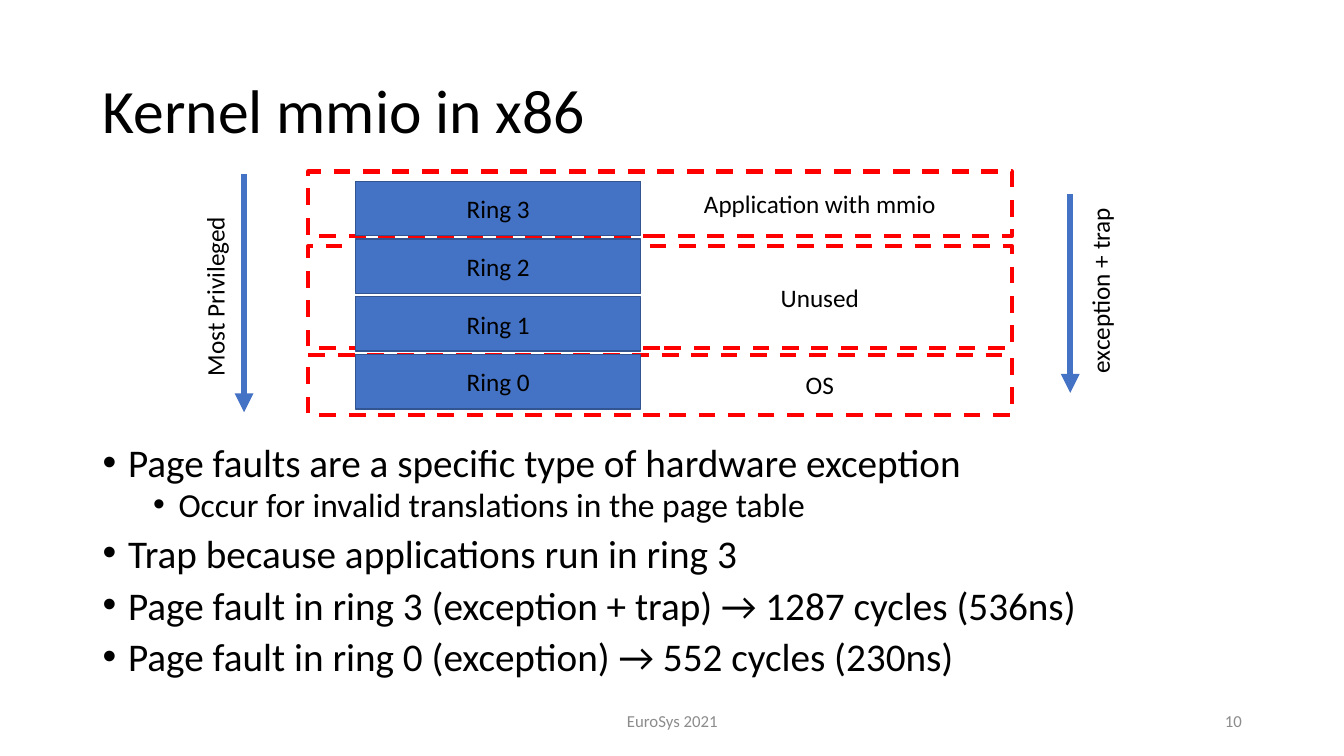
from lxml import etree
from pptx import Presentation
from pptx.dml.color import RGBColor
from pptx.enum.dml import MSO_LINE
from pptx.enum.shapes import MSO_CONNECTOR, MSO_SHAPE
from pptx.enum.text import MSO_ANCHOR, PP_ALIGN
from pptx.oxml.ns import qn
from pptx.util import Cm, Pt

BLACK = RGBColor(0, 0, 0)
GREY = RGBColor(0x8C, 0x8C, 0x8C)
BLUE = RGBColor(0x44, 0x72, 0xC4)
DARK_BLUE = RGBColor(0x32, 0x54, 0x91)
RED = RGBColor(0xFF, 0, 0)
LEFT, CENTER, RIGHT = PP_ALIGN.LEFT, PP_ALIGN.CENTER, PP_ALIGN.RIGHT
TOP, MIDDLE = MSO_ANCHOR.TOP, MSO_ANCHOR.MIDDLE
RECTANGLE, STRAIGHT = MSO_SHAPE.RECTANGLE, MSO_CONNECTOR.STRAIGHT
DASH = MSO_LINE.DASH
FONT = "Calibri"

RINGS = ["Ring 3", "Ring 2", "Ring 1", "Ring 0"]
# Label, top and height within the diagram
ZONES = [
    ("Application with mmio", 0, 1.63),
    ("Unused", 1.88, 2.57),
    ("OS", 4.62, 1.52),
]
# Text and outline level
POINTS = [
    ("Page faults are a specific type of hardware exception", 0),
    ("Occur for invalid translations in the page table", 1),
    ("Trap because applications run in ring 3", 0),
    ("Page fault in ring 3 (exception + trap) → 1287 cycles (536ns)", 0),
    ("Page fault in ring 0 (exception) → 552 cycles (230ns)", 0),
]


def write(paragraph, text, size=18, color=BLACK, align=LEFT, spacing=1.0, before=0):
    run = paragraph.add_run()
    run.text = text
    run.font.name, run.font.size = FONT, Pt(size)
    run.font.color.rgb = color
    paragraph.alignment = align
    paragraph.line_spacing = spacing
    paragraph.space_before = Pt(before)


def add_text_area(slide, box, anchor=MIDDLE):
    frame = slide.shapes.add_textbox(*map(Cm, box)).text_frame
    frame.word_wrap = True
    frame.vertical_anchor = anchor
    return frame


def add_label(slide, box, text, rotation=0, **text_format):
    area = slide.shapes.add_textbox(*map(Cm, box))
    area.rotation = rotation
    frame = area.text_frame
    frame.word_wrap = True
    frame.vertical_anchor = MIDDLE
    write(frame.paragraphs[0], text, **text_format)


def add_rectangle(slide, box, line_color, line_width, fill=None):
    rectangle = slide.shapes.add_shape(RECTANGLE, *map(Cm, box))
    rectangle.shadow.inherit = False
    if fill is None:
        rectangle.fill.background()
    else:
        rectangle.fill.solid()
        rectangle.fill.fore_color.rgb = fill
    rectangle.line.color.rgb = line_color
    rectangle.line.width = Pt(line_width)
    return rectangle


def add_ring_diagram(slide, box):
    left, top, width, height = box
    # Dashed zones, each labelled to the right of the rings
    for label, offset, zone_height in ZONES:
        zone = add_rectangle(slide, (left, top + offset, width, zone_height), RED, 3)
        zone.line.dash_style = DASH
        add_label(slide, (left + 9.3, top + offset, 7.18, zone_height), label,
                  align=CENTER)
    # Privilege rings at an equal pitch
    pitch = (height - 0.32) / len(RINGS)
    for index, name in enumerate(RINGS):
        ring = add_rectangle(slide, (left + 1.19, top + 0.25 + index * pitch, 7.19, 1.37),
                             DARK_BLUE, 1, BLUE)
        ring.text_frame.vertical_anchor = MIDDLE
        write(ring.text_frame.paragraphs[0], name, align=CENTER)


def add_down_arrow(slide, box, text, label_x, label_y):
    """Arrow down the left edge of the box; the label centre is relative to its top left."""
    left, top, label_length, height = box
    arrow = slide.shapes.add_connector(STRAIGHT, Cm(left), Cm(top), Cm(left), Cm(top + height))
    arrow.line.color.rgb = BLUE
    arrow.line.width = Pt(4.5)
    properties = arrow.line._get_or_add_ln()
    etree.SubElement(properties, qn("a:tailEnd"), type="triangle")
    etree.SubElement(properties.getparent(), qn("a:effectLst"))
    add_label(slide, (left + label_x - label_length / 2, top + label_y - 0.51,
                      label_length, 1.02), text, rotation=270, align=CENTER)


def add_points(slide, box):
    frame = add_text_area(slide, box, TOP)
    for index, (text, level) in enumerate(POINTS):
        point = frame.paragraphs[0] if index == 0 else frame.add_paragraph()
        point.level = level
        write(point, text, size=24 if level else 28, spacing=0.8, before=5 if level else 10)
        properties = point._p.get_or_add_pPr()
        properties.set("marL", str(Cm(0.64 + 1.27 * level)))
        properties.set("indent", str(-Cm(0.64)))
        etree.SubElement(properties, qn("a:buFont"), typeface="Arial")
        etree.SubElement(properties, qn("a:buChar"), char="•")


def add_footer(slide, box):
    left, top, width, height = box
    add_label(slide, (left + 8.89, top, 11.43, height), "EuroSys 2021",
              size=12, color=GREY, align=CENTER)
    add_label(slide, (left + width - 7.62, top, 7.62, height), "10",
              size=12, color=GREY, align=RIGHT)


deck = Presentation()
deck.slide_width, deck.slide_height = Cm(33.87), Cm(19.05)
slide = deck.slides.add_slide(deck.slide_layouts[6])

add_label(slide, (2.34, 1.02, 29.21, 3.68), "Kernel mmio in x86", size=44, spacing=0.9)
add_ring_diagram(slide, (7.77, 4.32, 17.73, 6.14))
add_down_arrow(slide, (6.15, 4.39, 4.9, 6), "Most Privileged", -0.74, 3.08)
add_down_arrow(slide, (26.97, 4.9, 4.9, 5), "exception + trap", 0.75, 2.42)
add_points(slide, (2.34, 11.15, 29.21, 6.43))
add_footer(slide, (2.34, 17.65, 29.21, 1.02))

deck.save("out.pptx")
